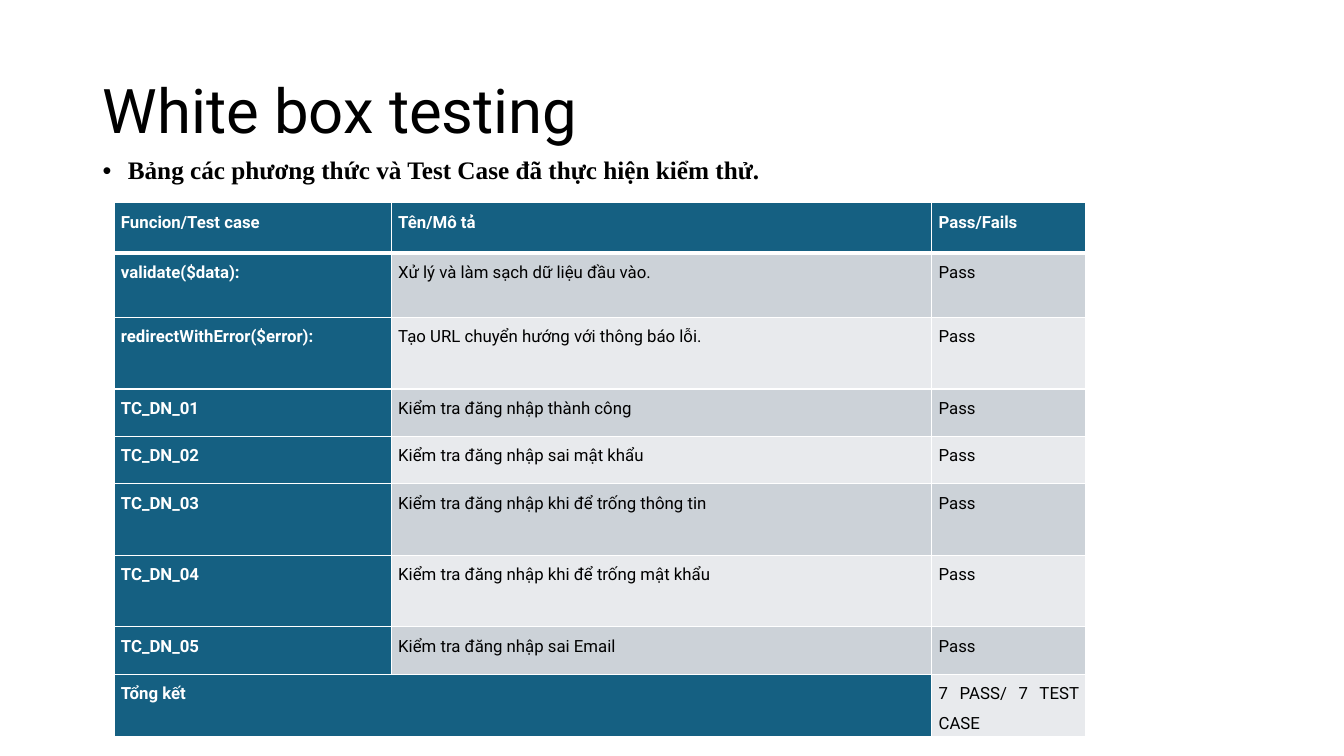
from dataclasses import dataclass

from lxml import etree
from pptx import Presentation
from pptx.dml.color import RGBColor
from pptx.enum.text import MSO_ANCHOR, PP_ALIGN
from pptx.oxml.ns import qn
from pptx.util import Inches, Pt

MIDDLE = MSO_ANCHOR.MIDDLE
TOP = MSO_ANCHOR.TOP
LEFT = PP_ALIGN.LEFT
JUSTIFY = PP_ALIGN.JUSTIFY


@dataclass(frozen=True)
class Theme:
    text: RGBColor = RGBColor.from_string("000000")
    light: RGBColor = RGBColor.from_string("FFFFFF")
    accent: RGBColor = RGBColor.from_string("156082")
    odd_band: RGBColor = RGBColor.from_string("CCD2D8")
    even_band: RGBColor = RGBColor.from_string("E8EAED")
    sans: str = "Roboto"
    serif: str = "Times New Roman"
    title_size: int = 44
    subtitle_size: int = 18
    table_size: int = 12


theme = Theme()


def write(frame, text, font, size, color, bold=False, align=LEFT,
          spacing=0.9, before=0, after=0):
    paragraph = frame.paragraphs[0]
    paragraph.text = text
    paragraph.alignment = align
    paragraph.line_spacing = spacing
    paragraph.space_before = Pt(before)
    paragraph.space_after = Pt(after)
    paragraph.font.name = font
    paragraph.font.size = Pt(size)
    paragraph.font.bold = bold
    paragraph.font.color.rgb = color
    return paragraph


def set_borders(cell, bottom_width):
    properties = cell._tc.get_or_add_tcPr()
    widths = {"a:lnL": 1, "a:lnR": 1, "a:lnT": 1, "a:lnB": bottom_width}
    for position, (side, width) in enumerate(widths.items()):
        line = etree.Element(qn(side), w=str(Pt(width)))
        fill = etree.SubElement(line, qn("a:solidFill"))
        etree.SubElement(fill, qn("a:srgbClr"), val=str(theme.light))
        properties.insert(position, line)


presentation = Presentation()
presentation.slide_width = Inches(13.33)
presentation.slide_height = Inches(7.5)
slide = presentation.slides.add_slide(presentation.slide_layouts[6])

# Title
title = slide.shapes.add_textbox(Inches(0.92), Inches(0.4), Inches(11.5), Inches(1.45)).text_frame
title.word_wrap = True
title.vertical_anchor = MIDDLE
write(title, "White box testing", theme.sans, theme.title_size, theme.text)

# Bulleted subtitle
subtitle = slide.shapes.add_textbox(Inches(0.92), Inches(1.52), Inches(11.5), Inches(0.45)).text_frame
subtitle.word_wrap = True
bullet_line = write(subtitle, "Bảng các phương thức và Test Case đã thực hiện kiểm thử.",
                    theme.serif, theme.subtitle_size, theme.text, bold=True, before=10)
bullet_format = bullet_line._p.get_or_add_pPr()
bullet_format.set("marL", str(Inches(0.25)))
bullet_format.set("indent", str(-Inches(0.25)))
bullet_font = etree.Element(qn("a:buFont"), typeface="Arial")
bullet_mark = etree.Element(qn("a:buChar"), char="•")
spacing_count = len(bullet_format.findall(qn("a:lnSpc")) + bullet_format.findall(qn("a:spcBef"))
                    + bullet_format.findall(qn("a:spcAft")))
bullet_format.insert(spacing_count, bullet_font)
bullet_format.insert(spacing_count + 1, bullet_mark)

# Test results table
results = [
    ("Funcion/Test case", "Tên/Mô tả", "Pass/Fails"),
    ("validate($data):", "Xử lý và làm sạch dữ liệu đầu vào.", "Pass"),
    ("redirectWithError($error):", "Tạo URL chuyển hướng với thông báo lỗi.", "Pass"),
    ("TC_DN_01", "Kiểm tra đăng nhập thành công", "Pass"),
    ("TC_DN_02", "Kiểm tra đăng nhập sai mật khẩu", "Pass"),
    ("TC_DN_03", "Kiểm tra đăng nhập khi để trống thông tin", "Pass"),
    ("TC_DN_04", "Kiểm tra đăng nhập khi để trống mật khẩu", "Pass"),
    ("TC_DN_05", "Kiểm tra đăng nhập sai Email", "Pass"),
    ("Tổng kết", "", "7 PASS/ 7 TEST CASE"),
]
column_widths = [2.75, 5.36, 1.53]
row_heights = [0.5, 0.64, 0.71, 0.47, 0.47, 0.71, 0.71, 0.47, 0.62]
table = slide.shapes.add_table(len(results), len(column_widths), Inches(1.13), Inches(2.01),
                               Inches(sum(column_widths)), Inches(sum(row_heights))).table
table.first_col = True
for column, width in zip(table.columns, column_widths):
    column.width = Inches(width)
for row, height in zip(table.rows, row_heights):
    row.height = Inches(height)

# The summary label spans the first two columns
summary_row = len(results) - 1
table.cell(summary_row, 0).merge(table.cell(summary_row, 1))

for row_index, entries in enumerate(results):
    band = theme.odd_band if row_index % 2 else theme.even_band
    for column_index, entry in enumerate(entries):
        cell = table.cell(row_index, column_index)
        is_heading = row_index == 0 or column_index == 0
        cell.fill.solid()
        cell.fill.fore_color.rgb = theme.accent if is_heading else band
        set_borders(cell, bottom_width=3 if row_index == 0 else 1)
        cell.margin_left = cell.margin_right = Inches(0.07)
        cell.margin_top = cell.margin_bottom = 0
        cell.vertical_anchor = TOP
        if not cell.is_spanned:
            write(cell.text_frame, entry, theme.sans, theme.table_size,
                  theme.light if is_heading else theme.text, bold=is_heading,
                  align=JUSTIFY, spacing=1.5, before=6, after=6)

presentation.save("out.pptx")
